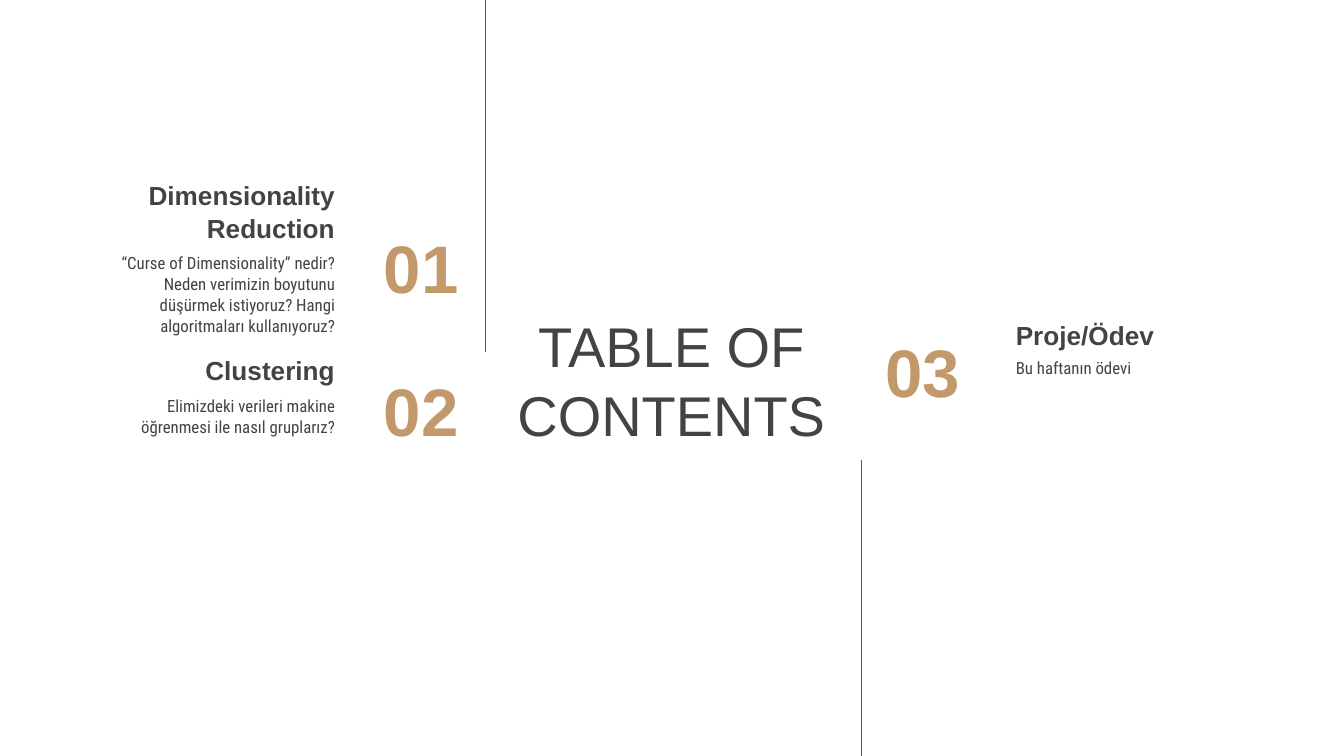
from dataclasses import dataclass

import pptx
import pptx.dml.color
import pptx.enum.shapes
import pptx.enum.text
import pptx.oxml
import pptx.util

Pt = pptx.util.Pt
RGBColor = pptx.dml.color.RGBColor
ALIGN = pptx.enum.text.PP_ALIGN
ANCHOR = pptx.enum.text.MSO_ANCHOR


@dataclass(frozen=True)
class Style:
    font: str
    size: float
    color: RGBColor
    bold: bool = False


@dataclass(frozen=True)
class Theme:
    title = Style("Arial", 30, RGBColor.from_string("434343"))
    heading = Style("Arial", 14, RGBColor.from_string("434343"), True)
    body = Style("Roboto Condensed", 9, RGBColor.from_string("434343"))
    number = Style("Arial", 36, RGBColor.from_string("C3996C"), True)
    rule_color = RGBColor.from_string("595959")
    rule_width = 0.75
    inset = 7.2
    line_spacing = 1.04


THEME = Theme()
SLIDE_WIDTH, SLIDE_HEIGHT = 720, 405
ROW_HEIGHT = 45.36
HEADING_WIDTH, BODY_WIDTH, NUMBER_WIDTH = 155.5, 139, 87
BODY_OFFSET = 35.75


def add_text(slide, text, box, style, align, anchor):
    shape = slide.shapes.add_textbox(*(Pt(length) for length in box))
    frame = shape.text_frame
    frame.word_wrap = True
    frame.vertical_anchor = anchor
    frame.margin_left = frame.margin_right = Pt(THEME.inset)
    frame.margin_top = frame.margin_bottom = Pt(THEME.inset)
    paragraph = frame.paragraphs[0]
    paragraph.text = text
    paragraph.alignment = align
    paragraph.line_spacing = THEME.line_spacing
    paragraph.font.name = style.font
    paragraph.font.size = Pt(style.size)
    paragraph.font.bold = style.bold
    paragraph.font.color.rgb = style.color


def add_entry(slide, entry, box, number_offset, number_on_right):
    """Place a number on the inner side of the box and its texts on the outer side."""
    number, heading, body = entry
    left, top, width = box
    right = left + width
    if number_on_right:
        align = ALIGN.RIGHT
        number_left, heading_left = right - NUMBER_WIDTH, left
        body_left = left + HEADING_WIDTH - BODY_WIDTH
    else:
        align = ALIGN.LEFT
        number_left = left
        heading_left = body_left = right - HEADING_WIDTH

    add_text(slide, heading, (heading_left, top, HEADING_WIDTH, ROW_HEIGHT),
             THEME.heading, align, ANCHOR.BOTTOM)
    add_text(slide, body, (body_left, top + BODY_OFFSET, BODY_WIDTH, ROW_HEIGHT),
             THEME.body, align, ANCHOR.TOP)
    add_text(slide, number, (number_left, top + number_offset, NUMBER_WIDTH, ROW_HEIGHT),
             THEME.number, align, ANCHOR.MIDDLE)


def add_vertical_rule(slide, x, top, bottom):
    rule = slide.shapes.add_connector(
        pptx.enum.shapes.MSO_CONNECTOR.STRAIGHT, Pt(x), Pt(top), Pt(x), Pt(bottom))
    rule.line.color.rgb = THEME.rule_color
    rule.line.width = Pt(THEME.rule_width)
    properties = rule._element.spPr
    properties.append(pptx.oxml.parse_xml(
        '<a:effectLst xmlns:a="http://schemas.openxmlformats.org/drawingml/2006/main"/>'))


def add_contents_slide(presentation):
    slide = presentation.slides.add_slide(presentation.slide_layouts[6])
    add_text(slide, "TABLE OF CONTENTS", (266.4, 165.6, 186.5, 74.2),
             THEME.title, ALIGN.CENTER, ANCHOR.MIDDLE)
    add_vertical_rule(slide, 260, 0, 188.6)
    add_vertical_rule(slide, 461.5, 246.2, SLIDE_HEIGHT)

    left_entries = [
        ("01", "Dimensionality Reduction",
         "“Curse of Dimensionality” nedir? Neden verimizin boyutunu düşürmek "
         "istiyoruz? Hangi algoritmaları kullanıyoruz?"),
        ("02", "Clustering", "Elimizdeki verileri makine öğrenmesi ile nasıl gruplarız?"),
    ]
    for index, entry in enumerate(left_entries):
        add_entry(slide, entry, (31, 92.2 + index * 76.4, 221.7), 27.3, True)
    add_entry(slide, ("03", "Proje/Ödev", "Bu haftanın ödevi"),
              (467.3, 149.8, 225.3), 25.2, False)


def main():
    presentation = pptx.Presentation()
    presentation.slide_width = Pt(SLIDE_WIDTH)
    presentation.slide_height = Pt(SLIDE_HEIGHT)
    add_contents_slide(presentation)
    presentation.save("out.pptx")


if __name__ == "__main__":
    main()
